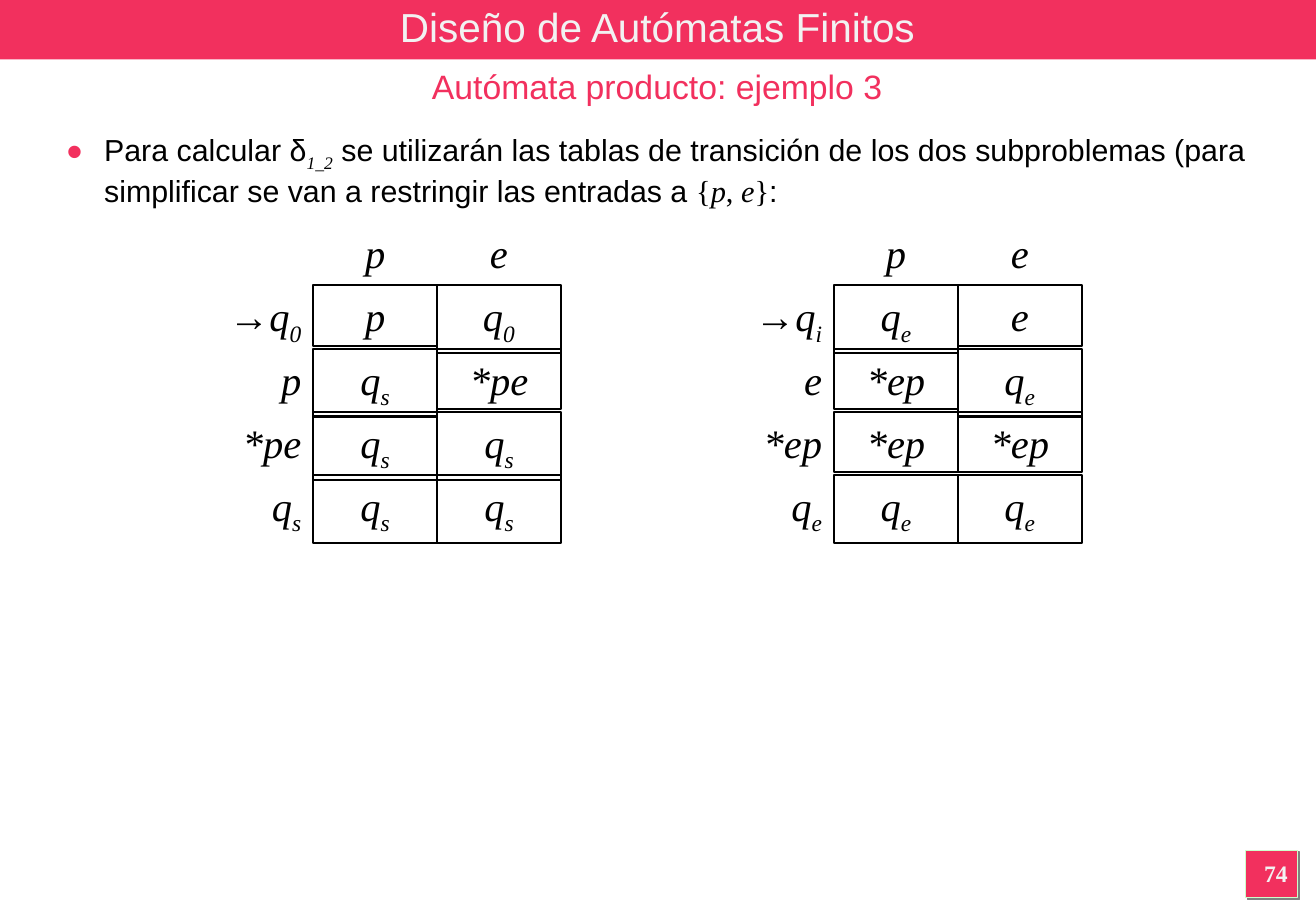
from lxml.etree import SubElement
from pptx import Presentation
from pptx.dml.color import RGBColor
from pptx.enum.shapes import MSO_SHAPE
from pptx.enum.text import MSO_ANCHOR, MSO_AUTO_SIZE, PP_ALIGN
from pptx.oxml.ns import qn
from pptx.util import Pt

PX = 9144  # 100 px to the inch
COLORS = {"accent": "F2305E", "light": "F2F2F2", "ink": "000000",
          "badge_line": "CCFFCC", "badge_shadow": "808080"}
SANS, SERIF = "Arial", "Times New Roman"

TITLE = "Diseño de Autómatas Finitos"
SUBTITLE = "Autómata producto: ejemplo 3"
PAGE_NUMBER = "74"

PLAIN = {"name": SANS, "size": Pt(18)}
MATH = {"name": SERIF, "size": Pt(18)}
MATH_ITALIC = {**MATH, "italic": True}
SYMBOL = {"name": SERIF, "size": Pt(24), "italic": True}
EXPLANATION = [
    ("Para calcular δ", PLAIN),
    ("1_2", {**MATH_ITALIC, "subscript": True}),
    (" se utilizarán las tablas de transición de los dos subproblemas "
     "(para simplificar se van a restringir las entradas a ", PLAIN),
    ("{", MATH), ("p", MATH_ITALIC), (", ", MATH), ("e", MATH_ITALIC),
    ("}", MATH), (":", PLAIN),
]

# An underscore in a state name starts its subscript.
INPUTS = ["p", "e"]
AUTOMATA = [
    {"left": 258, "rows": [("→q_0", "p", "q_0"),
                           ("p", "q_s", "*pe"),
                           ("*pe", "q_s", "q_s"),
                           ("q_s", "q_s", "q_s")]},
    {"left": 687, "rows": [("→q_i", "q_e", "e"),
                           ("e", "*ep", "q_e"),
                           ("*ep", "*ep", "*ep"),
                           ("q_e", "q_e", "q_e")]},
]
GRID_TOP, ROW_STEP, CELL_WIDTH, LABEL_WIDTH = 183, 52, 102, 134
PLAIN_HEIGHT, SUBSCRIPT_HEIGHT = 50, 56


def rgb(color):
    return RGBColor.from_string(COLORS[color])


def add_rect(slide, box, fill=None, line=None, line_width=1.25):
    rect = slide.shapes.add_shape(MSO_SHAPE.RECTANGLE, *(v * PX for v in box))
    rect.shadow.inherit = False
    if fill:
        rect.fill.solid()
        rect.fill.fore_color.rgb = rgb(fill)
    else:
        rect.fill.background()
    if line:
        rect.line.color.rgb = rgb(line)
        rect.line.width = Pt(line_width)
    else:
        rect.line.fill.background()
    return rect


def add_text_box(slide, box):
    return slide.shapes.add_textbox(*(v * PX for v in box))


def write(shape, runs, color="ink", align=PP_ALIGN.CENTER, grow=False,
          anchor=MSO_ANCHOR.TOP):
    """Fill the shape with one paragraph of (text, format) runs."""
    frame = shape.text_frame
    frame.word_wrap = True
    frame.vertical_anchor = anchor
    frame.auto_size = MSO_AUTO_SIZE.SHAPE_TO_FIT_TEXT if grow else MSO_AUTO_SIZE.NONE
    paragraph = frame.paragraphs[0]
    paragraph.alignment = align
    for text, style in runs:
        run = paragraph.add_run()
        run.text = text
        run.font.color.rgb = rgb(color)
        for key, value in style.items():
            if key == "subscript":
                run.font._element.set("baseline", "-25000")
            else:
                setattr(run.font, key, value)
    return paragraph


def state_runs(state):
    """Split a state name into arrow, base and subscript runs."""
    base, _, index = state.partition("_")
    arrow = "→" if base.startswith("→") else ""
    parts = [(arrow, {**SYMBOL, "name": SANS}),
             (base.removeprefix("→"), SYMBOL),
             (index, {**SYMBOL, "subscript": True})]
    return [part for part in parts if part[0]]


def add_state(slide, state, left, row, width=CELL_WIDTH, boxed=False,
              align=PP_ALIGN.CENTER):
    height = SUBSCRIPT_HEIGHT if "_" in state else PLAIN_HEIGHT
    box = (left, GRID_TOP + row * ROW_STEP, width, height)
    shape = add_rect(slide, box, line="ink") if boxed else add_text_box(slide, box)
    write(shape, state_runs(state), align=align, grow=True)


def add_automaton(slide, left, rows):
    for column, symbol in enumerate(INPUTS):
        add_state(slide, symbol, left + column * CELL_WIDTH, 0)
    for row, (label, *targets) in enumerate(rows, start=1):
        add_state(slide, label, left - LABEL_WIDTH, row, LABEL_WIDTH,
                  align=PP_ALIGN.RIGHT)
        for column, target in enumerate(targets):
            add_state(slide, target, left + column * CELL_WIDTH, row, boxed=True)


def add_bullet(paragraph, color, indent):
    properties = paragraph._p.get_or_add_pPr()
    properties.set("marL", str(indent * PX))
    properties.set("indent", str(-indent * PX))
    bullet_color = SubElement(properties, qn("a:buClr"))
    SubElement(bullet_color, qn("a:srgbClr"), val=COLORS[color])
    SubElement(properties, qn("a:buSzPct"), val="150000")
    SubElement(properties, qn("a:buFont"), typeface=SANS)
    SubElement(properties, qn("a:buChar"), char="•")


def add_page_badge(slide):
    badge = add_rect(slide, (1026, 700, 43, 39), "accent", "badge_line", 0.75)
    effects = badge._element.spPr.find(qn("a:effectLst"))
    shadow = SubElement(effects, qn("a:outerShdw"), dist=str(Pt(1.4)),
                        dir="2700000", algn="ctr", rotWithShape="0")
    SubElement(shadow, qn("a:srgbClr"), val=COLORS["badge_shadow"])
    write(add_text_box(slide, (1024, 702, 54, 35)),
          [(PAGE_NUMBER, {"name": SERIF, "size": Pt(14), "bold": True})], "light")


def main():
    deck = Presentation()
    deck.slide_width, deck.slide_height = 1084 * PX, 750 * PX
    slide = deck.slides.add_slide(deck.slide_layouts[6])

    add_rect(slide, (0, 0, 1085, 49), "accent")
    write(add_text_box(slide, (0, 0, 1083, 44)),
          [(TITLE, {"name": SANS, "size": Pt(24)})], "light",
          anchor=MSO_ANCHOR.MIDDLE)
    write(add_text_box(slide, (0, 49, 1083, 44)),
          [(SUBTITLE, {"name": SANS, "size": Pt(20)})], "accent", grow=True)
    explanation = write(add_text_box(slide, (45, 103, 996, 580)), EXPLANATION,
                        align=PP_ALIGN.LEFT)
    add_bullet(explanation, "accent", 31)
    for automaton in AUTOMATA:
        add_automaton(slide, **automaton)
    add_page_badge(slide)
    deck.save("out.pptx")


if __name__ == "__main__":
    main()
